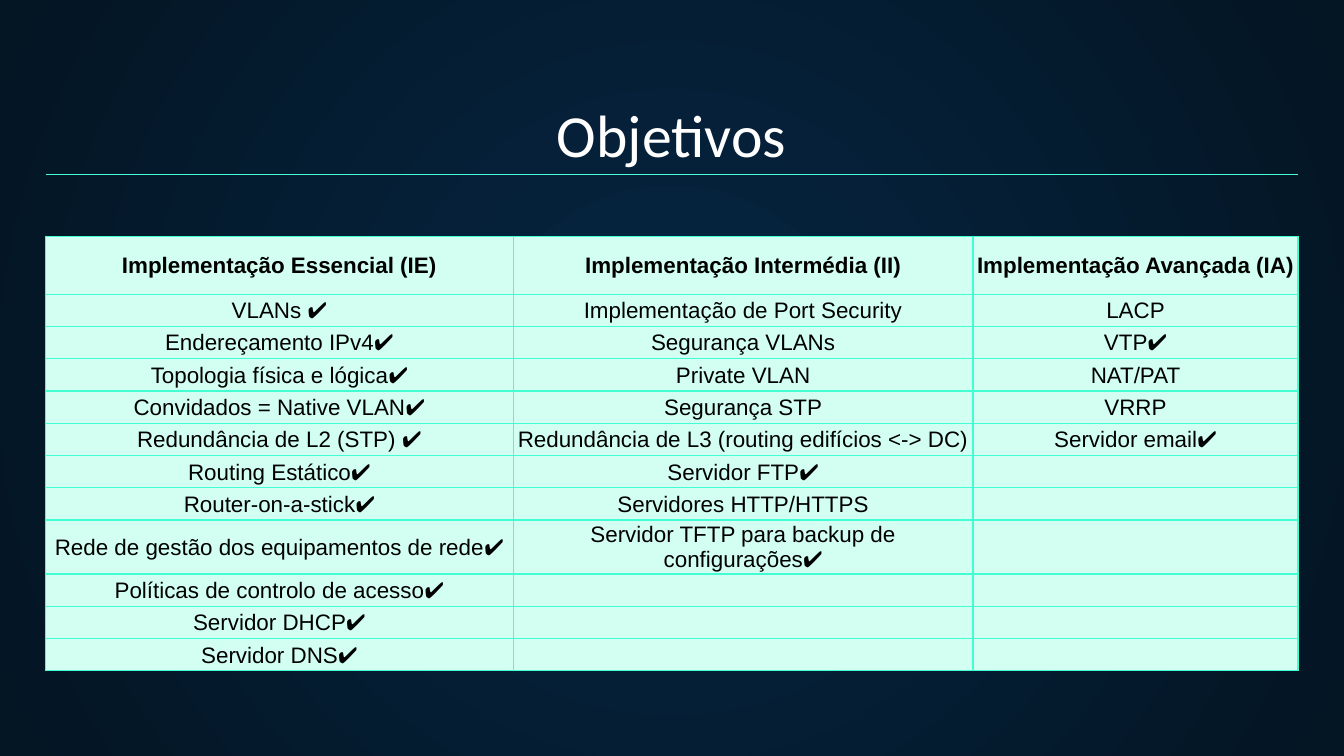
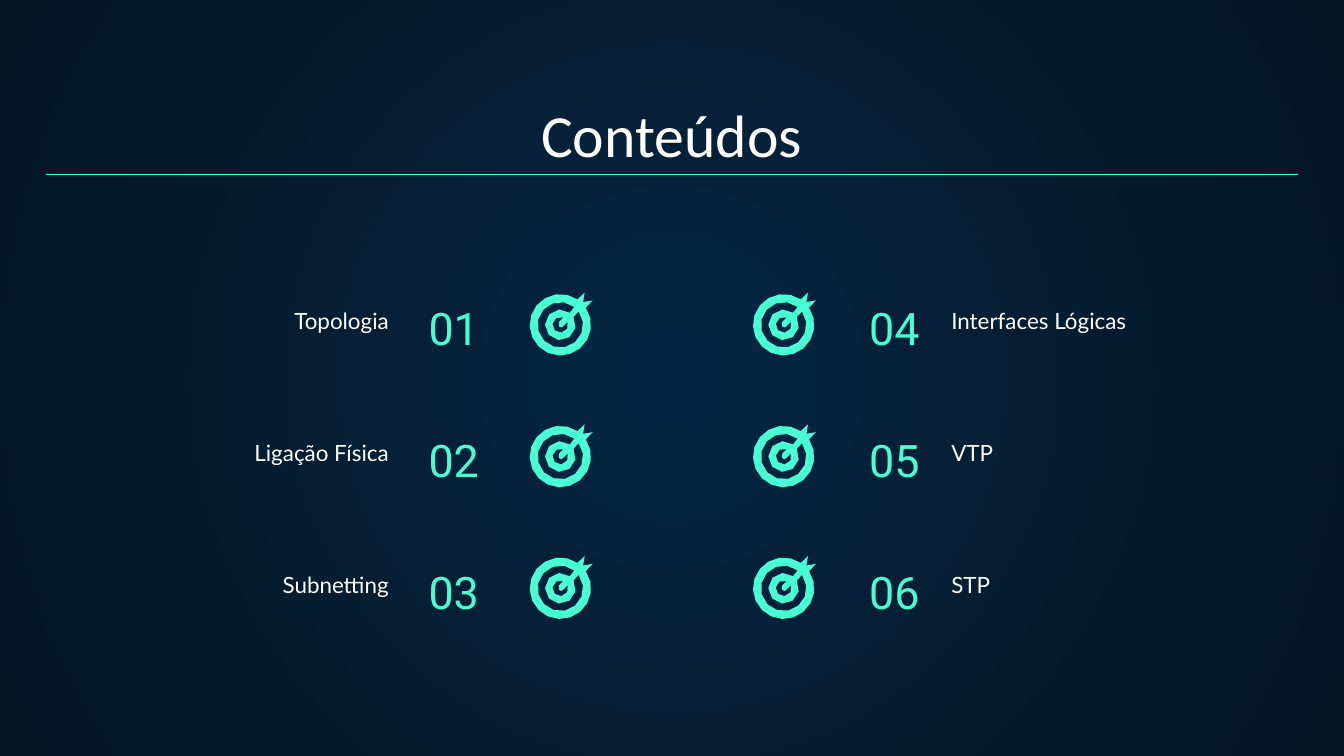
from dataclasses import dataclass
from itertools import zip_longest
from math import cos, radians, sin

from lxml.etree import SubElement
from pptx import Presentation
from pptx.dml.color import RGBColor
from pptx.enum.shapes import MSO_CONNECTOR
from pptx.enum.text import MSO_ANCHOR as Anchor, MSO_AUTO_SIZE as AutoSize, PP_ALIGN as Align
from pptx.oxml.ns import qn
from pptx.util import Cm, Pt


@dataclass(frozen=True)
class TextStyle:
    font: str
    size: int
    color: str
    bold: bool = False


@dataclass(frozen=True)
class Theme:
    glow: str = "052643"
    night: str = "041523"
    accent: str = "48FFD5"
    grid: str = "42FED3"
    cell: str = "D2FFF1"
    rule_width: float = 0.75
    title: TextStyle = TextStyle("Calibri", 32, "FFFFFF")
    number: TextStyle = TextStyle("Roboto", 24, "48FFD5")
    label: TextStyle = TextStyle("Lato", 12, "FFFFFF")
    heading: TextStyle = TextStyle("Arial", 12, "000000", True)
    entry: TextStyle = TextStyle("Arial", 12, "000000")


ESSENTIAL = [
    "Implementação Essencial (IE)", "VLANs ✔️", "Endereçamento IPv4✔️",
    "Topologia física e lógica✔️", "Convidados = Native VLAN✔️",
    "Redundância de L2 (STP) ✔️", "Routing Estático✔️", "Router-on-a-stick✔️",
    "Rede de gestão dos equipamentos de rede✔️",
    "Políticas de controlo de acesso✔️", "Servidor DHCP✔️", "Servidor DNS✔️",
]
INTERMEDIATE = [
    "Implementação Intermédia (II)", "Implementação de Port Security",
    "Segurança VLANs", "Private VLAN", "Segurança STP",
    "Redundância de L3 (routing edifícios <-> DC)", "Servidor FTP✔️",
    "Servidores HTTP/HTTPS", "Servidor TFTP para backup de configurações✔️",
]
ADVANCED = [
    "Implementação Avançada (IA)", "LACP", "VTP✔️", "NAT/PAT", "VRRP",
    "Servidor email✔️",
]
TOPICS_LEFT = ["Topologia", "Ligação Física", "Subnetting"]
TOPICS_RIGHT = ["Interfaces Lógicas", "VTP", "STP"]


def rgb(color):
    return RGBColor.from_string(color)


def arc(radius, start, end, steps):
    """Points of an arc in cm around (0, 0); degrees run counterclockwise."""
    angles = [radians(start + (end - start) * i / steps) for i in range(steps + 1)]
    return [(radius * cos(a), -radius * sin(a)) for a in angles]


TARGET_CONTOURS = [
    # disc with the feathers of the arrow
    arc(0.58, 56, 394, 16) + [(0.61, -0.46), (0.43, -0.43), (0.46, -0.61)],
    # gap between the rings, crossed by the shaft
    arc(0.43, 52, 396, 12) + arc(0.29, 391, 52, 8),
    # centre, entered by the arrowhead
    arc(0.15, 68, 382, 6) + [(0.05, 0.03), (0.02, 0.05), (-0.03, 0.03), (-0.03, -0.05)],
]


class Deck:
    margin, content_width = 0.86, 23.67

    def __init__(self, theme):
        self.theme = theme
        self.prs = Presentation()
        self.prs.slide_width, self.prs.slide_height = Cm(25.4), Cm(14.29)
        self.slide = None
        self.paint_background()

    def paint_background(self):
        master = self.prs.slide_master
        fill = master.background.fill
        fill.gradient()
        for stop, color in zip(fill.gradient_stops, (self.theme.glow, self.theme.night)):
            stop.color.rgb = rgb(color)
        gradient = master.element.find(".//" + qn("a:gradFill"))
        gradient.remove(gradient.find(qn("a:lin")))
        radial = SubElement(gradient, qn("a:path"), path="circle")
        SubElement(radial, qn("a:fillToRect"), l="50000", t="50000", r="50000", b="50000")

    def open_slide(self, title):
        """Add a slide with its title and the rule below it."""
        self.slide = self.prs.slides.add_slide(self.prs.slide_layouts[5])
        heading = self.slide.shapes.title
        heading.left, heading.top = Cm(self.margin), Cm(1.78)
        heading.width, heading.height = Cm(self.content_width), Cm(1.68)
        self.fill_frame(heading.text_frame, title, self.theme.title, Align.CENTER)
        self.rule(3.3)

    def style_paragraph(self, paragraph, style, align):
        paragraph.alignment = align
        for run in paragraph.runs:
            run.font.name, run.font.size = style.font, Pt(style.size)
            run.font.bold = style.bold
            run.font.color.rgb = rgb(style.color)

    def fill_frame(self, frame, text, style, align):
        frame.word_wrap = True
        frame.auto_size = AutoSize.NONE
        frame.vertical_anchor = Anchor.BOTTOM
        frame.margin_left = frame.margin_right = Cm(0.25)
        frame.margin_top = frame.margin_bottom = Cm(0.25)
        frame.text = text
        self.style_paragraph(frame.paragraphs[0], style, align)

    def text(self, text, left, top, width, height, style, align):
        box = self.slide.shapes.add_textbox(Cm(left), Cm(top), Cm(width), Cm(height))
        self.fill_frame(box.text_frame, text, style, align)

    def rule(self, y):
        line = self.slide.shapes.add_connector(
            MSO_CONNECTOR.STRAIGHT, Cm(self.margin), Cm(y),
            Cm(self.margin + self.content_width), Cm(y))
        line.line.color.rgb = rgb(self.theme.accent)
        line.line.width = Pt(self.theme.rule_width)
        SubElement(line.element.spPr, qn("a:effectLst"))

    def target(self, x, y):
        """Draw a target with an arrow, centred on (x, y)."""
        contours = [[(Cm(x + dx), Cm(y + dy)) for dx, dy in contour]
                    for contour in TARGET_CONTOURS]
        builder = self.slide.shapes.build_freeform(*contours[0][0])
        for number, contour in enumerate(contours):
            if number:
                builder.move_to(*contour[0])
            builder.add_line_segments(contour[1:], close=True)
        icon = builder.convert_to_shape()
        icon.shadow.inherit = False
        icon.fill.solid()
        icon.fill.fore_color.rgb = rgb(self.theme.accent)
        icon.line.fill.background()

    def table(self, rows, top, widths, heights):
        grid = self.slide.shapes.add_table(
            len(rows), len(widths), Cm(self.margin), Cm(top),
            Cm(sum(widths)), Cm(sum(heights))).table
        for column, width in zip(grid.columns, widths):
            column.width = Cm(width)
        for row, height, texts in zip(grid.rows, heights, rows):
            row.height = Cm(height)
            style = self.theme.heading if texts is rows[0] else self.theme.entry
            for cell, text in zip(row.cells, texts):
                self.fill_cell(cell, text, style)

    def fill_cell(self, cell, text, style):
        cell.margin_left = cell.margin_right = cell.margin_top = Cm(0.02)
        cell.margin_bottom = 0
        cell.vertical_anchor = Anchor.MIDDLE
        cell.text_frame.text = text
        paragraph = cell.text_frame.paragraphs[0]
        self.style_paragraph(paragraph, style, Align.CENTER)
        if not text:
            SubElement(paragraph._p, qn("a:endParaRPr"), sz=str(style.size * 100))
        properties = cell._tc.get_or_add_tcPr()
        for side in ("a:lnL", "a:lnR", "a:lnT", "a:lnB"):
            border = SubElement(properties, qn(side), w=str(Pt(self.theme.rule_width)))
            paint = SubElement(border, qn("a:solidFill"))
            SubElement(paint, qn("a:srgbClr"), val=self.theme.grid)
        cell.fill.solid()
        cell.fill.fore_color.rgb = rgb(self.theme.cell)

    def topics(self, names, first, label_left, number_left, icon_x, label_align, number_align):
        """Draw one column of numbered topics, each with a target."""
        for row, name in enumerate(names):
            top = 5.28 + 2.49 * row
            self.text(f"{first + row:02}", number_left, top, 3.28, 1.68,
                      self.theme.number, number_align)
            self.text(name, label_left, top + 0.38, 5.77, 0.91,
                      self.theme.label, label_align)
            self.target(icon_x, top + 0.86)


def main():
    deck = Deck(Theme())

    deck.open_slide("Objetivos")
    goals = list(zip_longest(ESSENTIAL, INTERMEDIATE, ADVANCED, fillvalue=""))
    deck.table(goals, 4.47, [8.84, 8.69, 6.14],
               [1.09] + [0.61] * 7 + [1.02] + [0.61] * 3)

    deck.open_slide("Conteúdos")
    deck.topics(TOPICS_LEFT, 1, 1.83, 7.85, 10.59, Align.RIGHT, Align.LEFT)
    deck.topics(TOPICS_RIGHT, 4, 17.73, 14.35, 14.81, Align.LEFT, Align.RIGHT)

    deck.prs.save("out.pptx")


if __name__ == "__main__":
    main()
